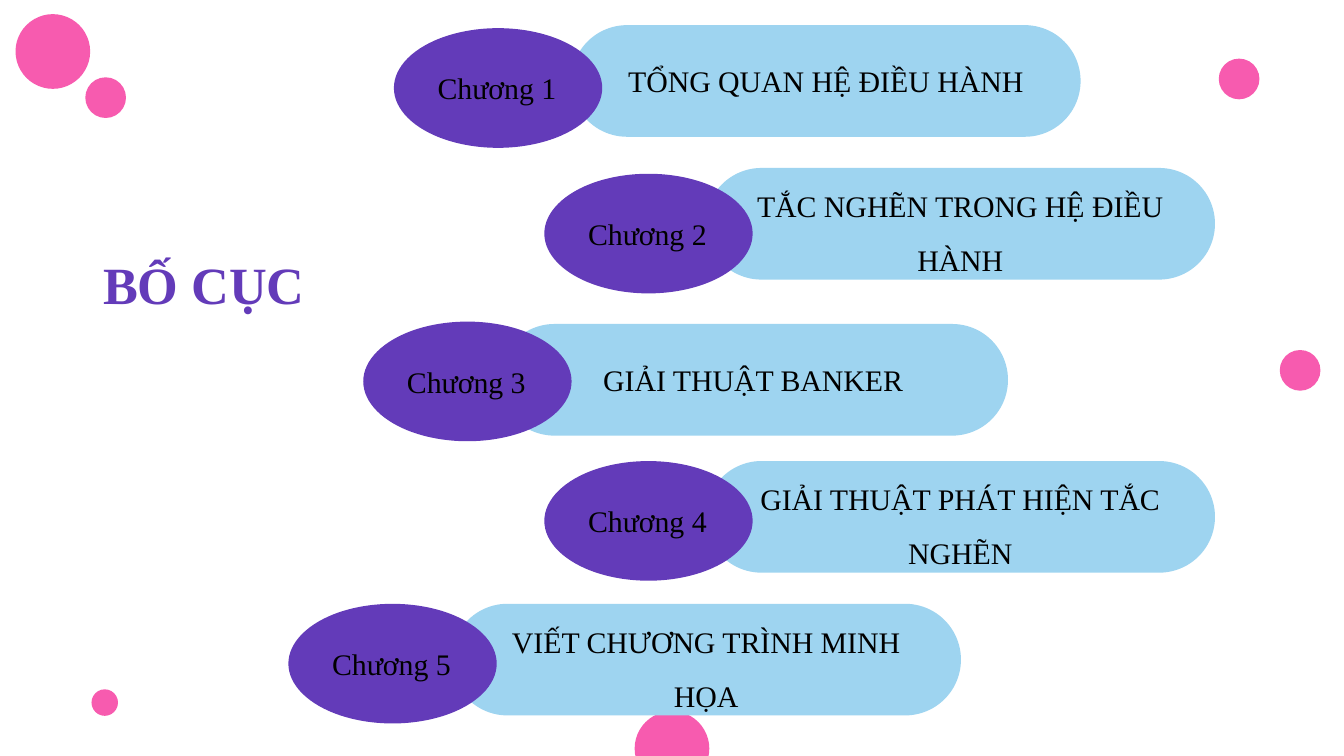
from pptx import Presentation
from pptx.dml.color import RGBColor
from pptx.enum.shapes import MSO_SHAPE as SHAPE
from pptx.enum.text import MSO_ANCHOR as ANCHOR, MSO_AUTO_SIZE as AUTO, PP_ALIGN as ALIGN
from pptx.util import Pt

PURPLE, BLUE, PINK, BLACK = "633BB9", "9ED4F0", "F75BAF", "000000"
INSET = 7.2
PILL_SIZE = (272.9, 59.8)
OVAL_SIZE = (111.6, 64.1)

DOTS = [
    (663.8, 42.3, 21.8), (56.1, 376.4, 14.2), (28.3, 27.6, 40),
    (56.6, 52.3, 21.8), (696.5, 198.4, 21.8), (360, 401, 40),
]
CHAPTERS = [
    ("TỔNG QUAN HỆ ĐIỀU HÀNH", (306, 13.5), (211, 15.1), 1),
    ("TẮC NGHẼN TRONG HỆ ĐIỀU HÀNH", (378, 90), (291.6, 93.1), 1.5),
    ("GIẢI THUẬT BANKER", (267.1, 173.6), (194.6, 172.3), 1),
    ("GIẢI THUẬT PHÁT HIỆN TẮC NGHẼN", (378, 247), (291.6, 247), 1.5),
    ("VIẾT CHƯƠNG TRÌNH MINH HỌA", (241.9, 323.5), (154.5, 323.5), 1.5),
]


def rgb(color):
    return RGBColor.from_string(color)


def set_attrs(obj, **values):
    for name, value in values.items():
        setattr(obj, name, value)


def write(sp, text, size, color, align=ALIGN.LEFT, spacing=1, bold=False):
    tf = sp.text_frame
    set_attrs(tf, word_wrap=True, auto_size=AUTO.NONE, vertical_anchor=ANCHOR.MIDDLE)
    for side in ("left", "top", "right", "bottom"):
        setattr(tf, f"margin_{side}", Pt(INSET))
    p = tf.paragraphs[0]
    set_attrs(p, alignment=align, line_spacing=spacing)
    r = p.add_run()
    r.text = text
    set_attrs(r.font, name="Times New Roman", size=Pt(size), bold=bold)
    r.font.color.rgb = rgb(color)


def add_filled(s, kind, box, color):
    sp = s.shapes.add_shape(kind, *map(Pt, box))
    sp.shadow.inherit = False
    sp.fill.solid()
    sp.fill.fore_color.rgb = rgb(color)
    sp.line.fill.background()
    return sp


def add_dots(s, dots):
    for x, y, d in dots:
        add_filled(s, SHAPE.OVAL, (x - d / 2, y - d / 2, d, d), PINK)


def add_title(s, box, text):
    sp = s.shapes.title
    left, top, width, height = map(Pt, box)
    set_attrs(sp, left=left, top=top, width=width, height=height)
    write(sp, text, 28, PURPLE, bold=True)


def add_chapter(s, pill_box, oval_box, label, text, spacing):
    pill = add_filled(s, SHAPE.ROUNDED_RECTANGLE, pill_box, BLUE)
    pill.adjustments[0] = 0.5
    write(pill, text, 16, BLACK, ALIGN.CENTER, spacing)
    oval = add_filled(s, SHAPE.OVAL, oval_box, PURPLE)
    write(oval, label, 16, BLACK)


def main():
    prs = Presentation()
    set_attrs(prs, slide_width=Pt(720), slide_height=Pt(405))
    s = prs.slides.add_slide(prs.slide_layouts[5])
    add_dots(s, DOTS)
    add_title(s, (48, 93.6, 311.8, 116.6), "BỐ CỤC")
    for n, (text, pill_at, oval_at, spacing) in enumerate(CHAPTERS, 1):
        add_chapter(s, pill_at + PILL_SIZE, oval_at + OVAL_SIZE,
                    f"Chương {n}", text, spacing)
    prs.save("out.pptx")


if __name__ == "__main__":
    main()
